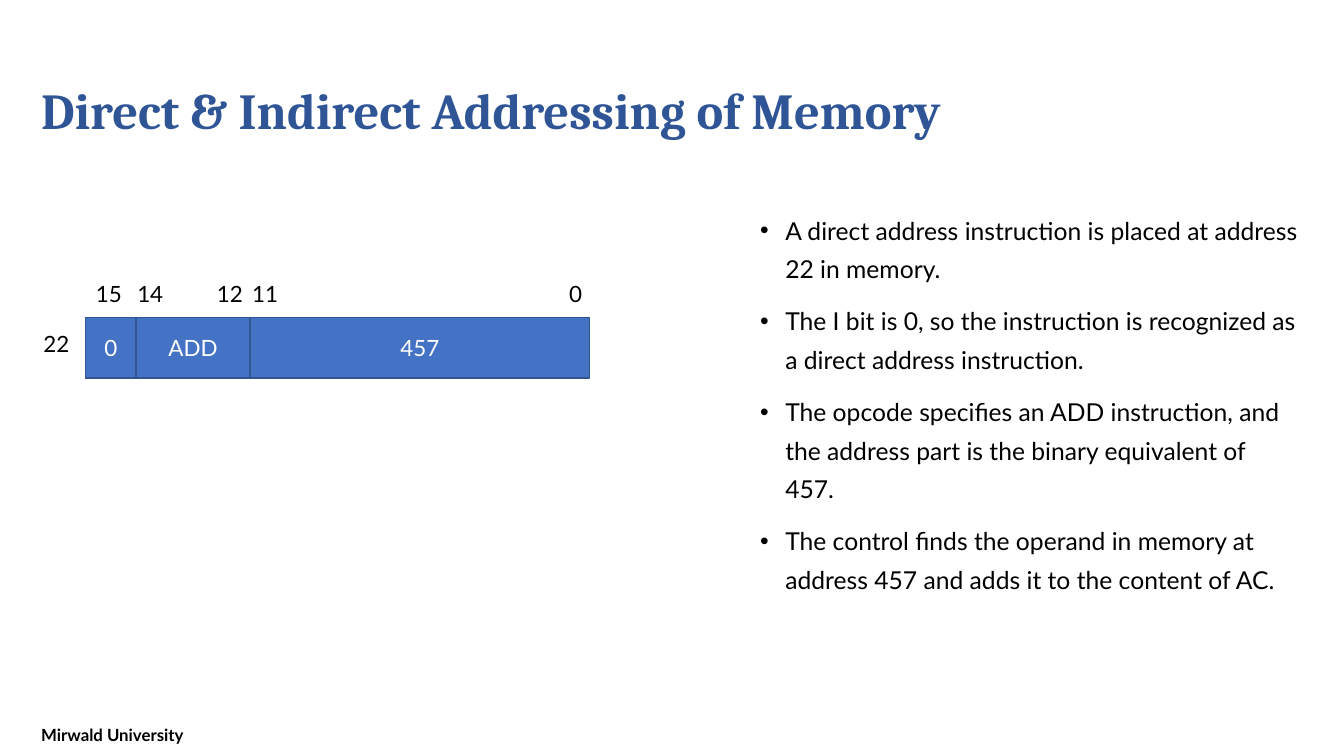
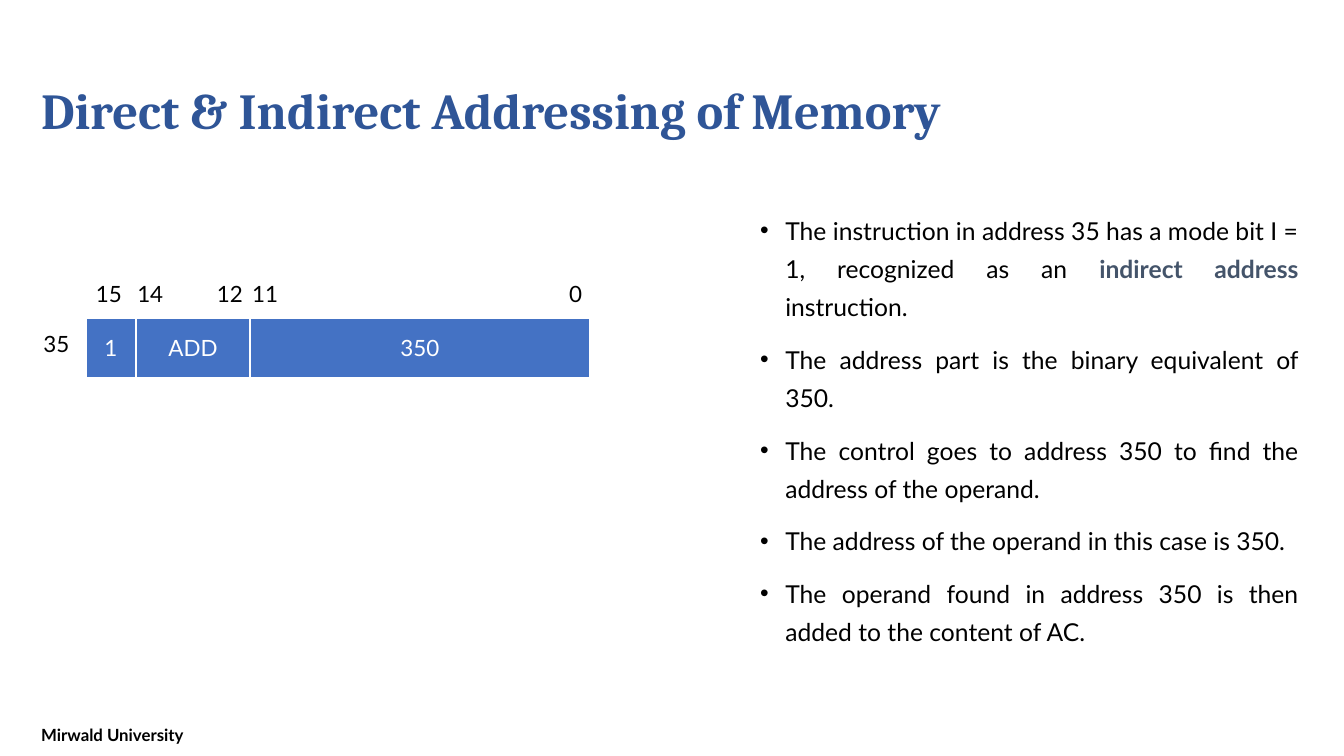
"""Two slides on direct and indirect memory addressing."""
import lxml.etree
import pptx
import pptx.dml.color
import pptx.enum.shapes
import pptx.enum.text
import pptx.oxml.ns
import pptx.util

COLORS = {
    "title": "2F5597",
    "text": "000000",
    "accent": "44546A",
    "cell": "4472C4",
    "cell_edge": "325491",
    "white": "FFFFFF",
}
TITLE_FONT, BODY_FONT = "Cambria", "Lato"
TITLE = "Direct & Indirect Addressing of Memory"
FOOTER = "Mirwald University"

TITLE_BOX = (0.31, 0.4, 12.68, 1.45)
BODY_BOX = (7.44, 2, 5.54, 5)
FOOTER_BOX = (0.31, 7.08, 9.4, 0.42)
REGISTER_BOX = (0.85, 3.15, 5, 0.6)

CELL_SHARES = (0.1, 0.226, 0.674)
BIT_CENTRES = {"15": 0.046, "14": 0.128, "12": 0.286, "11": 0.356, "0": 0.972}
LABEL_WIDTH, LABEL_HEIGHT = 0.5, 0.37

ALIGN = pptx.enum.text.PP_ALIGN
ANCHOR = pptx.enum.text.MSO_ANCHOR

SLIDES = [
    {
        "address": "22",
        "cells": ("0", "ADD", "457"),
        "edge": ("cell_edge", 1),
        "align": ALIGN.LEFT,
        "bullets": [
            ["A direct address instruction is placed at address 22 in memory."],
            ["The I bit is 0, so the instruction is recognized as a direct address instruction."],
            ["The opcode specifies an ADD instruction, and the address part is the binary equivalent of 457."],
            ["The control finds the operand in memory at address 457 and adds it to the content of AC."],
        ],
    },
    {
        "address": "35",
        "cells": ("1", "ADD", "350"),
        "edge": ("white", 1.5),
        "align": ALIGN.JUSTIFY,
        "bullets": [
            ["The instruction in address 35 has a mode bit I = 1, recognized as an ",
             "indirect address ", "instruction. "],
            ["The address part is the binary equivalent of 350. "],
            ["The control goes to address 350 to find the address of the operand. "],
            ["The address of the operand in this case is 350. "],
            ["The operand found in address 350 is then added to the content of AC."],
        ],
    },
]


def color(name):
    """Return the named colour as an RGB value."""
    return pptx.dml.color.RGBColor.from_string(COLORS[name])


def inches(box):
    """Convert a box in inches to lengths."""
    return [pptx.util.Inches(length) for length in box]


def style(span, size, tint="text", font=BODY_FONT, bold=False):
    """Format one run."""
    span.font.size = pptx.util.Pt(size)
    span.font.name = font
    span.font.bold = bold
    span.font.color.rgb = color(tint)


def add_text(slide, box, text, size, align=ALIGN.LEFT, anchor=ANCHOR.MIDDLE, **look):
    """Add a wrapped text box with one formatted paragraph."""
    frame = slide.shapes.add_textbox(*inches(box)).text_frame
    frame.word_wrap = True
    frame.vertical_anchor = anchor
    para = frame.paragraphs[0]
    para.text = text
    para.alignment = align
    style(para.runs[0], size, **look)
    return para


def add_label(slide, centre, top, text):
    """Add a small label centred on a horizontal position."""
    box = (centre - LABEL_WIDTH / 2, top, LABEL_WIDTH, LABEL_HEIGHT)
    add_text(slide, box, text, 16, ALIGN.CENTER, ANCHOR.TOP)


def add_register(slide, box, address, cells, edge):
    """Draw an instruction word with its bit numbers and address."""
    left, top, width, height = box
    for bit, share in BIT_CENTRES.items():
        add_label(slide, left + share * width, top - 0.42, bit)
    add_label(slide, left - 0.29, top + 0.08, address)
    group = slide.shapes.add_group_shape()
    edge_color, edge_width = edge
    cell_left = left
    for text, share in zip(cells, CELL_SHARES):
        cell = group.shapes.add_shape(
            pptx.enum.shapes.MSO_SHAPE.RECTANGLE,
            *inches((cell_left, top, share * width, height)))
        cell_left += share * width
        cell.shadow.inherit = False
        cell.fill.solid()
        cell.fill.fore_color.rgb = color("cell")
        cell.line.color.rgb = color(edge_color)
        cell.line.width = pptx.util.Pt(edge_width)
        frame = cell.text_frame
        frame.vertical_anchor = ANCHOR.MIDDLE
        frame.text = text
        para = frame.paragraphs[0]
        para.alignment = ALIGN.CENTER
        style(para.runs[0], 16, "white")


def add_bullet(para):
    """Give a paragraph a hanging round bullet."""
    properties = para._p.get_or_add_pPr()
    indent = pptx.util.Inches(0.25)
    properties.set("marL", str(indent))
    properties.set("indent", str(-indent))
    qn = pptx.oxml.ns.qn
    lxml.etree.SubElement(properties, qn("a:buFont"), typeface="Arial")
    lxml.etree.SubElement(properties, qn("a:buChar"), char="•")


def add_bullets(slide, box, bullets, align):
    """Add the bullet list, with every second run of a bullet emphasised."""
    frame = slide.shapes.add_textbox(*inches(box)).text_frame
    frame.word_wrap = True
    for index, parts in enumerate(bullets):
        para = frame.add_paragraph() if index else frame.paragraphs[0]
        para.alignment = align
        para.line_spacing = 1.3
        para.space_before = pptx.util.Pt(10)
        add_bullet(para)
        for position, part in enumerate(parts):
            span = para.add_run()
            span.text = part
            strong = position % 2 == 1
            style(span, 17.6, "accent" if strong else "text", bold=strong)


def add_frame(slide):
    """Add the title and footer that all slides share."""
    title = add_text(slide, TITLE_BOX, TITLE, 36, tint="title", font=TITLE_FONT, bold=True)
    title.line_spacing = 0.9
    add_text(slide, FOOTER_BOX, FOOTER, 12, bold=True)


def add_addressing_slide(deck, content):
    """Build one slide with a register on the left and bullets on the right."""
    slide = deck.slides.add_slide(deck.slide_layouts[6])
    add_frame(slide)
    add_bullets(slide, BODY_BOX, content["bullets"], content["align"])
    add_register(slide, REGISTER_BOX, content["address"], content["cells"], content["edge"])


def main():
    """Build and save the deck."""
    deck = pptx.Presentation()
    deck.slide_width, deck.slide_height = inches((13.33, 7.5))
    for content in SLIDES:
        add_addressing_slide(deck, content)
    deck.save("out.pptx")


if __name__ == "__main__":
    main()
